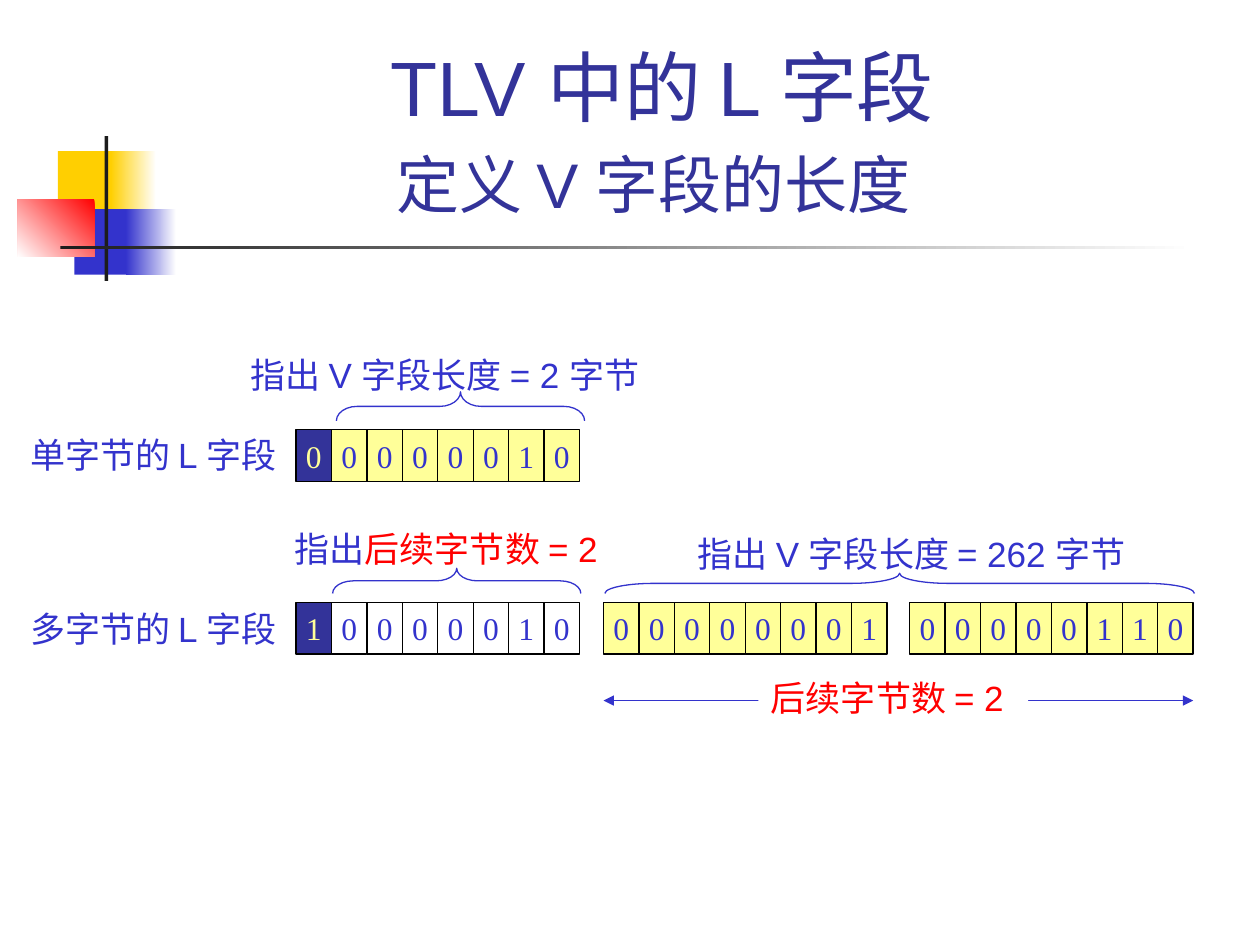
from dataclasses import dataclass
from typing import Optional

from lxml.etree import SubElement
from pptx import Presentation
from pptx.dml.color import RGBColor
from pptx.enum.shapes import MSO_CONNECTOR, MSO_SHAPE
from pptx.enum.text import MSO_ANCHOR, MSO_AUTO_SIZE, PP_ALIGN
from pptx.oxml.ns import qn
from pptx.util import Inches, Pt

NAVY, BLUE, RED = "333399", "3333CC", "FF0000"
YELLOW, WHITE, BLACK = "FFFF99", "FFFFFF", "000000"
LINE_WIDTH = Pt(0.75)
BIT_W, BIT_H = 2.25 / 8, 0.41


@dataclass
class Block:
    """Decorative rectangle, fading to white when an angle is given."""
    box: tuple
    color: str
    angle: Optional[int] = None


@dataclass
class Octet:
    left: float
    top: float
    bits: str
    fill: str
    flagged: bool = False  # first bit is the highlighted length flag


@dataclass
class Brace:
    """Horizontal brace pointing up."""
    left: float
    top: float
    length: float
    depth: float


@dataclass
class Run:
    text: str
    size: int = 20
    color: str = BLUE
    font: str = "Arial"


@dataclass
class Label:
    box: tuple
    runs: list
    wrap: bool = False
    fill: Optional[str] = None


BLOCKS = [
    Block((0.46, 1.2, 0.48, 0.52), "FFCF01"),
    Block((0.88, 1.2, 0.36, 0.52), "FFCF01", 0),
    Block((0.59, 1.66, 0.46, 0.52), BLUE),
    Block((1, 1.66, 0.4, 0.52), BLUE, 0),
    Block((0.14, 1.58, 0.61, 0.46), RED, 225),
    Block((0.83, 1.08, 0.03, 1.15), "1C1C1C"),
    Block((0.48, 1.95, 9, 0.03), "1C1C1C", 0),
]
OCTETS = [
    Octet(2.35, 3.41, "00000010", YELLOW, True),
    Octet(2.35, 4.78, "10000010", WHITE, True),
    Octet(4.79, 4.78, "00000001", YELLOW),
    Octet(7.22, 4.78, "00000110", YELLOW),
]
BRACES = [
    Brace(2.67, 3.11, 1.97, 0.23),
    Brace(2.64, 4.51, 1.97, 0.2),
    Brace(4.8, 4.55, 4.68, 0.16),
]
LABELS = [
    Label((1.89, 2.76, 3.55, 0.44), [Run("指出 V 字段长度 = 2 字节")]),
    Label((0.14, 3.39, 2.3, 0.44), [Run("单字节的 L 字段")]),
    Label((5.44, 4.18, 3.86, 0.44), [Run("指出 V 字段长度 = 262 字节")]),
    Label((0.14, 4.77, 2.3, 0.44), [Run("多字节的 L 字段")]),
    Label((2.24, 4.14, 2.91, 0.44),
          [Run("指出"), Run("后续字节数 = 2", color=RED)], wrap=True),
    Label((6.02, 5.32, 2.14, 0.44), [Run("后续字节数 = 2", color=RED)],
          wrap=True, fill=WHITE),
]


def rgb(value: str) -> RGBColor:
    return RGBColor.from_string(value)


def set_attrs(target, values: dict) -> None:
    for name, value in values.items():
        setattr(target, name, value)


def add_runs(p, runs: list) -> None:
    for run in runs:
        r = p.add_run()
        r.text = run.text
        set_attrs(r.font, {"size": Pt(run.size), "name": run.font})
        r.font.color.rgb = rgb(run.color)


def add_plain_shape(s, kind, box: tuple, fill: Optional[str] = None,
                    line: Optional[str] = None):
    sp = s.shapes.add_shape(kind, *map(Inches, box))
    sp.shadow.inherit = False
    if fill:
        sp.fill.solid()
        sp.fill.fore_color.rgb = rgb(fill)
    else:
        sp.fill.background()
    if line:
        sp.line.color.rgb = rgb(line)
        sp.line.width = LINE_WIDTH
    else:
        sp.line.fill.background()
    return sp


def draw_block(s, block: Block) -> None:
    sp = add_plain_shape(s, MSO_SHAPE.RECTANGLE, block.box, block.color)
    if block.angle is not None:
        sp.fill.gradient()
        sp.fill.gradient_angle = block.angle
        for stop, color in zip(sp.fill.gradient_stops, (block.color, WHITE)):
            stop.color.rgb = rgb(color)


def draw_title(s) -> None:
    sp = s.shapes.add_textbox(*map(Inches, (1.26, 0.23, 7.99, 1.6)))
    tf = sp.text_frame
    set_attrs(tf, {"word_wrap": True, "vertical_anchor": MSO_ANCHOR.BOTTOM})
    p = tf.paragraphs[0]
    p.alignment = PP_ALIGN.CENTER
    add_runs(p, [Run("TLV 中的 L 字段", 44, NAVY)])
    p.add_line_break()
    add_runs(p, [Run("定义 V 字段的长度", 36, NAVY), Run(" ", 44, NAVY)])


def draw_octet(s, octet: Octet) -> None:
    for i, bit in enumerate(octet.bits):
        is_flag = octet.flagged and i == 0
        box = (octet.left + i * BIT_W, octet.top, BIT_W, BIT_H)
        sp = add_plain_shape(s, MSO_SHAPE.RECTANGLE, box,
                             NAVY if is_flag else octet.fill, BLACK)
        tf = sp.text_frame
        set_attrs(tf, {"word_wrap": False, "vertical_anchor": MSO_ANCHOR.MIDDLE})
        p = tf.paragraphs[0]
        p.alignment = PP_ALIGN.CENTER
        add_runs(p, [Run(bit, 18, YELLOW if is_flag else BLUE, "Times New Roman")])


def draw_brace(s, brace: Brace) -> None:
    # The box is given upright, then turned about its centre
    shift = (brace.length - brace.depth) / 2
    box = (brace.left + shift, brace.top - shift, brace.depth, brace.length)
    sp = add_plain_shape(s, MSO_SHAPE.RIGHT_BRACE, box, line=BLUE)
    sp.adjustments[0] = brace.length / 12 / brace.depth
    sp.rotation = 270


def draw_label(s, label: Label) -> None:
    if label.fill:
        sp = add_plain_shape(s, MSO_SHAPE.RECTANGLE, label.box, label.fill)
    else:
        sp = s.shapes.add_textbox(*map(Inches, label.box))
    tf = sp.text_frame
    set_attrs(tf, {"word_wrap": label.wrap, "vertical_anchor": MSO_ANCHOR.TOP,
                   "auto_size": MSO_AUTO_SIZE.SHAPE_TO_FIT_TEXT})
    p = tf.paragraphs[0]
    p.alignment = PP_ALIGN.LEFT
    add_runs(p, label.runs)


def draw_double_arrow(s, x1: float, x2: float, y: float) -> None:
    sp = s.shapes.add_connector(MSO_CONNECTOR.STRAIGHT, *map(Inches, (x1, y, x2, y)))
    sp.line.color.rgb = rgb(BLUE)
    sp.line.width = LINE_WIDTH
    for end in ("a:headEnd", "a:tailEnd"):
        SubElement(sp.line._get_or_add_ln(), qn(end), type="triangle")
    SubElement(sp._element.spPr, qn("a:effectLst"))


def main() -> None:
    prs = Presentation()
    set_attrs(prs, {"slide_width": Inches(10), "slide_height": Inches(7.5)})
    s = prs.slides.add_slide(prs.slide_layouts[6])

    # Corner decoration and title
    for block in BLOCKS:
        draw_block(s, block)
    draw_title(s)

    # Bit fields with their braces
    for octet in OCTETS:
        draw_octet(s, octet)
    for brace in BRACES:
        draw_brace(s, brace)

    # Span arrow, then labels, one of which sits over the arrow
    draw_double_arrow(s, 4.79, 9.47, 5.56)
    for label in LABELS:
        draw_label(s, label)

    prs.save("out.pptx")


if __name__ == "__main__":
    main()
